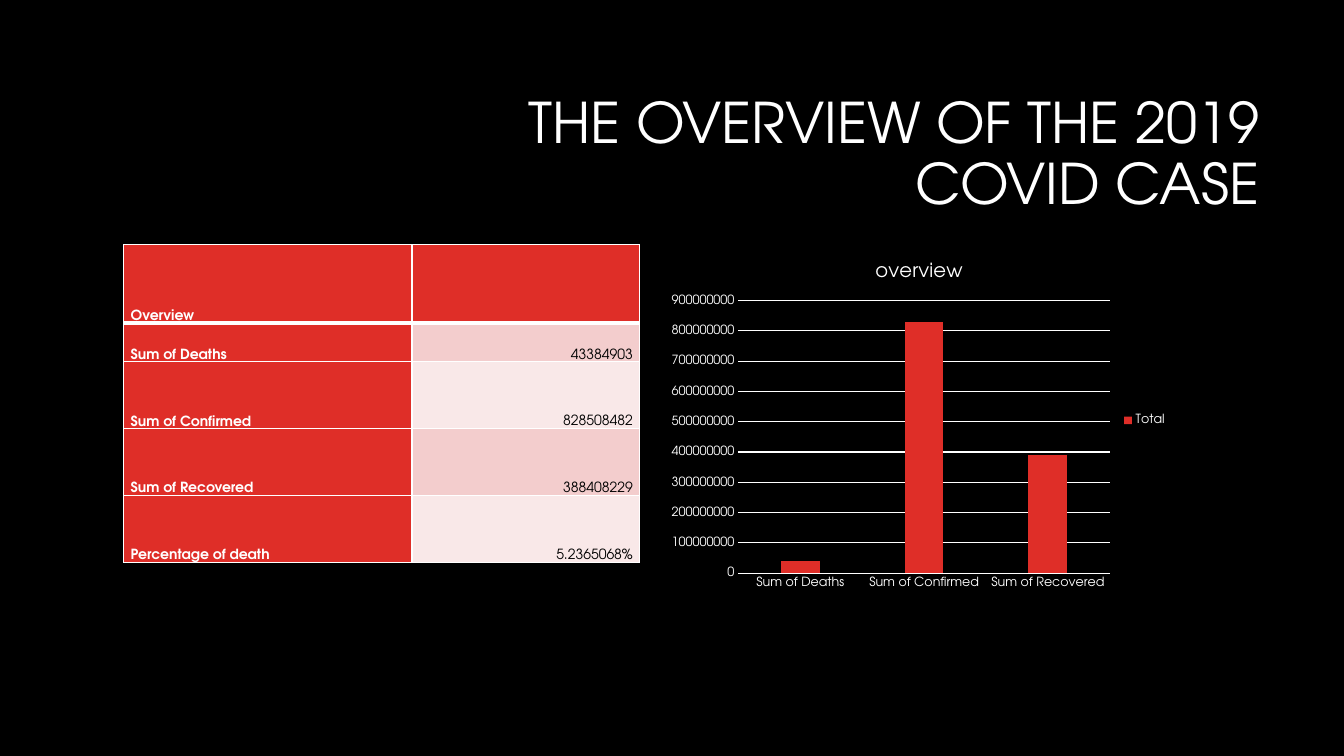
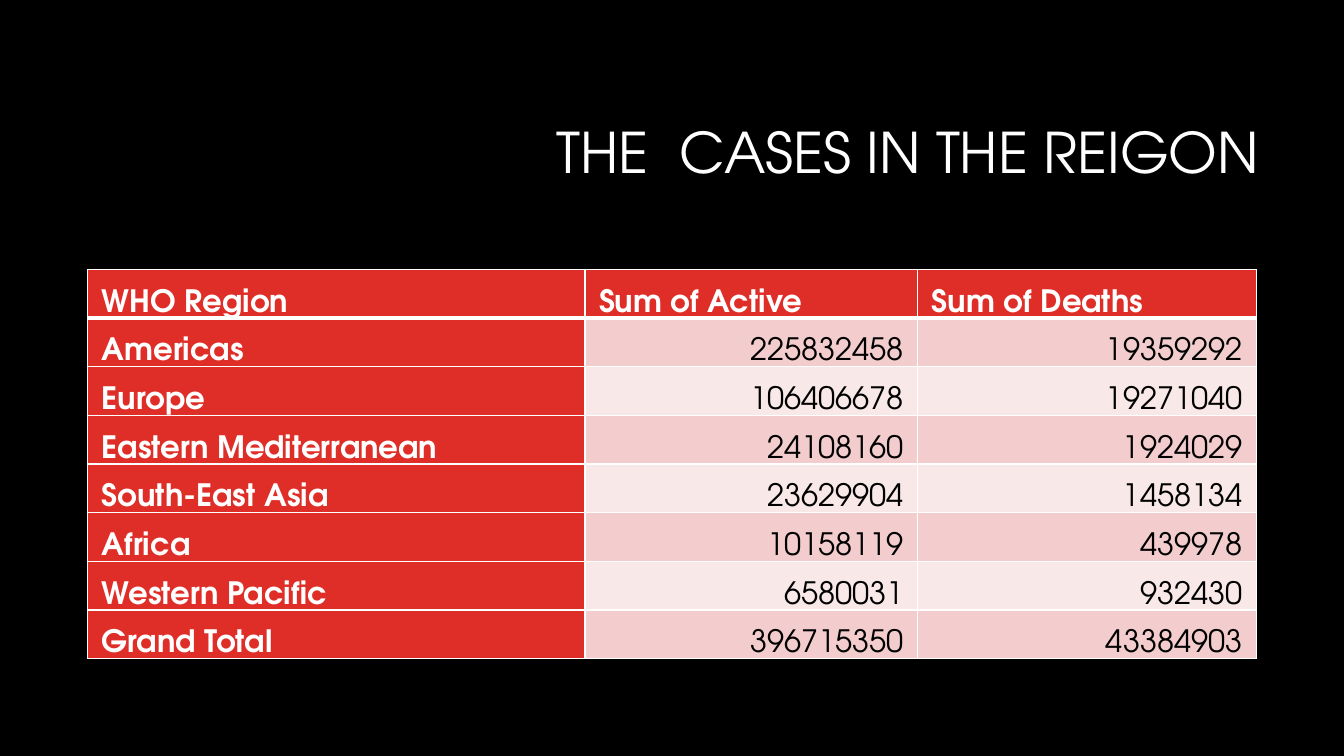
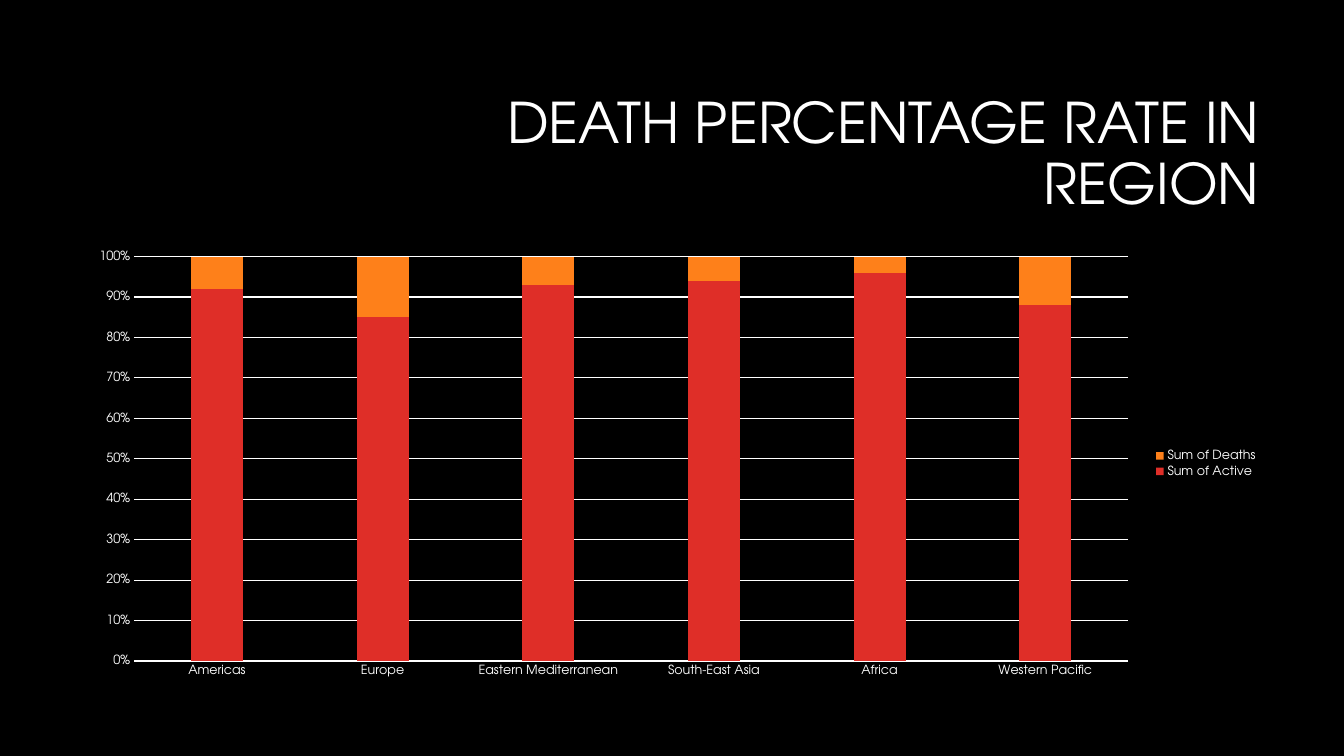
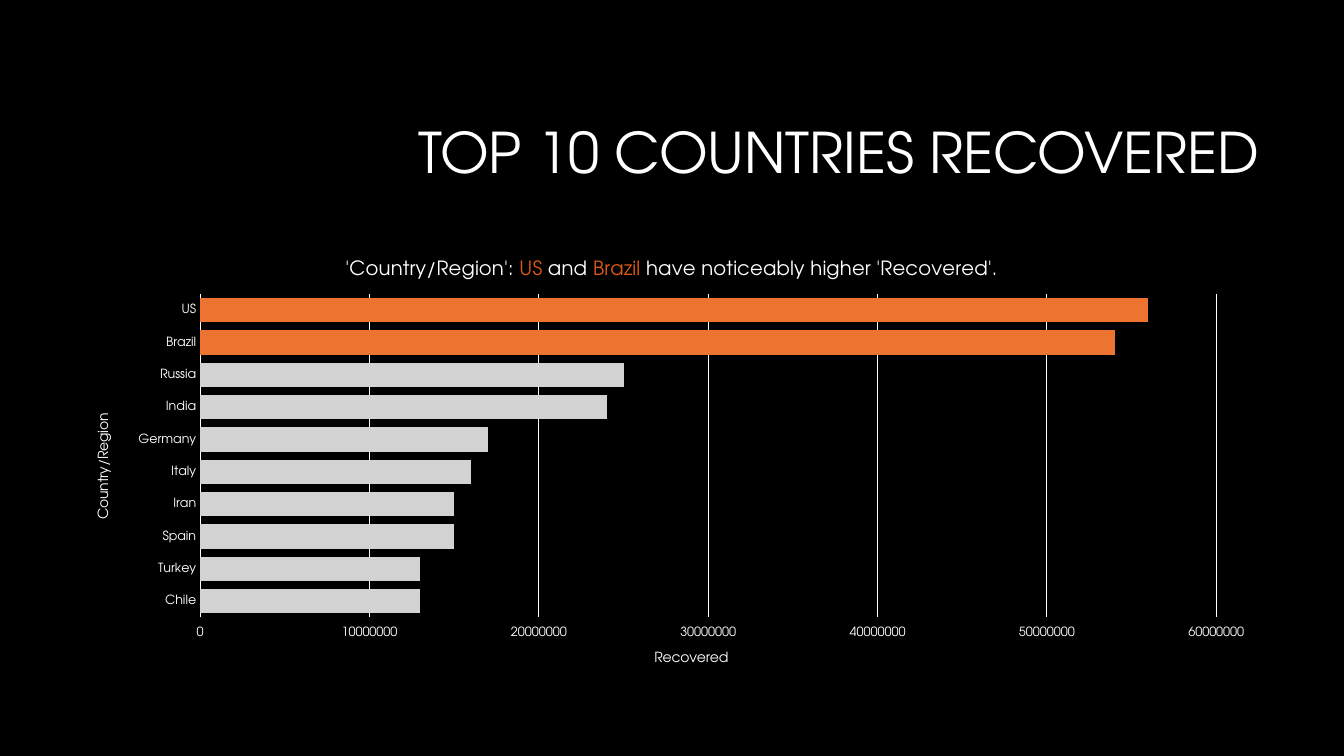
from dataclasses import dataclass
from typing import Optional

from lxml.etree import SubElement
from pptx import Presentation
from pptx.chart.data import CategoryChartData
from pptx.dml.color import RGBColor
from pptx.enum.chart import (
    XL_CHART_TYPE, XL_LEGEND_POSITION, XL_TICK_LABEL_POSITION, XL_TICK_MARK,
)
from pptx.enum.text import MSO_ANCHOR, PP_ALIGN
from pptx.oxml.ns import qn
from pptx.util import Emu, Pt

PX = 3048  # EMU; 300 px to the inch
FONT = "TeX Gyre Adventor"
COLORS = {
    "background": "000000",
    "light": "FFFFFF",
    "dark": "000000",
    "red": "DF2E28",
    "orange": "FE801A",
    "band_odd": "F3CDCD",
    "band_even": "F9E8E8",
    "bar": "D2D2D2",
    "bar_top": "ED7331",
    "title_accent": "DD5A13",
}


@dataclass(frozen=True)
class Box:
    left: int
    top: int
    width: int
    height: int

    def emu(self) -> tuple:
        return tuple(px(n) for n in (self.left, self.top, self.width, self.height))


@dataclass(frozen=True)
class Span:
    text: str
    color: str = "light"


@dataclass(frozen=True)
class Series:
    name: str
    values: tuple
    color: str


@dataclass(frozen=True)
class TableSpec:
    left: int
    top: int
    columns: tuple
    row_heights: tuple
    size: int
    inset: int
    rows: tuple


@dataclass(frozen=True)
class ChartSpec:
    kind: XL_CHART_TYPE
    box: Box
    categories: tuple
    series: tuple
    maximum: float
    step: float
    title: tuple = ()
    gap: int = 219
    overlap: Optional[int] = None
    number_format: str = "General"
    legend: bool = True


TITLE_BOX = Box(951, 252, 2826, 423)
WIDE_CHART = Box(225, 720, 3549, 1320)

OVERVIEW_TABLE = TableSpec(
    left=368, top=728, columns=(858, 678), row_heights=(234, 115, 199, 199, 199),
    size=10, inset=21,
    rows=(
        ("Overview", ""),
        ("Sum of Deaths", "43384903"),
        ("Sum of Confirmed", "828508482"),
        ("Sum of Recovered", "388408229"),
        ("Percentage of death", "5.2365068%"),
    ),
)

REGION_TABLE = TableSpec(
    left=261, top=801, columns=(1480, 990, 1008), row_heights=(145,) * 8,
    size=22, inset=42,
    rows=(
        ("WHO Region", "Sum of Active", "Sum of Deaths"),
        ("Americas", "225832458", "19359292"),
        ("Europe", "106406678", "19271040"),
        ("Eastern Mediterranean", "24108160", "1924029"),
        ("South-East Asia", "23629904", "1458134"),
        ("Africa", "10158119", "439978"),
        ("Western Pacific", "6580031", "932430"),
        ("Grand Total", "396715350", "43384903"),
    ),
)

OVERVIEW_CHART = ChartSpec(
    kind=XL_CHART_TYPE.COLUMN_CLUSTERED,
    box=Box(1968, 729, 1536, 1044),
    categories=("Sum of Deaths", "Sum of Confirmed", "Sum of Recovered"),
    series=(Series("Total", (40_000_000, 830_000_000, 390_000_000), "red"),),
    maximum=900_000_000, step=100_000_000,
    title=(Span("overview"),),
)

DEATH_RATE_CHART = ChartSpec(
    kind=XL_CHART_TYPE.COLUMN_STACKED_100,
    box=WIDE_CHART,
    categories=("Americas", "Europe", "Eastern Mediterranean",
                "South-East Asia", "Africa", "Western Pacific"),
    series=(
        Series("Sum of Active", (92, 85, 93, 94, 96, 88), "red"),
        Series("Sum of Deaths", (8, 15, 7, 6, 4, 12), "orange"),
    ),
    maximum=1, step=0.1, overlap=100, number_format="0%",
)

RECOVERED_CHART = ChartSpec(
    kind=XL_CHART_TYPE.BAR_STACKED,
    box=WIDE_CHART,
    categories=("US", "Brazil", "Russia", "India", "Germany",
                "Italy", "Iran", "Spain", "Turkey", "Chile"),
    series=(Series("Series 1", tuple(
        n * 1_000_000 for n in (56, 54, 25, 24, 17, 16, 15, 15, 13, 13)), "bar"),),
    maximum=60_000_000, step=10_000_000,
    title=(Span("'Country/Region': "), Span("US", "title_accent"), Span(" and "),
           Span("Brazil", "title_accent"),
           Span(" have noticeably higher 'Recovered'.")),
    gap=33, overlap=100, legend=False,
)


def px(count: int) -> Emu:
    return Emu(count * PX)


def rgb(name: str) -> RGBColor:
    return RGBColor.from_string(COLORS[name])


def set_font(font, size: int, color: str = "light", bold: bool = False) -> None:
    font.name = FONT
    font.size = Pt(size)
    font.bold = bold
    font.color.rgb = rgb(color)


def add_spans(para, spans: tuple, size: int, bold: bool = False) -> None:
    for span in spans:
        run = para.add_run()
        run.text = span.text
        set_font(run.font, size, span.color, bold)


def add_page(deck, title: str):
    """Add a black slide with the shared right-aligned title."""
    page = deck.slides.add_slide(deck.slide_layouts[6])
    page.background.fill.solid()
    page.background.fill.fore_color.rgb = rgb("background")
    frame = page.shapes.add_textbox(*TITLE_BOX.emu()).text_frame
    frame.word_wrap = True
    frame.vertical_anchor = MSO_ANCHOR.MIDDLE
    para = frame.paragraphs[0]
    para.alignment = PP_ALIGN.RIGHT
    para.line_spacing = 0.9
    add_spans(para, (Span(title),), 40)
    return page


def set_borders(cell, widths: dict) -> None:
    properties = cell._tc.get_or_add_tcPr()
    for side, points in widths.items():
        line = SubElement(properties, qn(f"a:ln{side}"), w=str(Pt(points)))
        fill = SubElement(line, qn("a:solidFill"))
        SubElement(fill, qn("a:srgbClr"), val=COLORS["light"])


def fill_cell(cell, text: str, row: int, column: int, spec: TableSpec) -> None:
    heading = row == 0 or column == 0
    set_borders(cell, {"L": 1, "R": 1, "T": 3 if row == 1 else 1, "B": 3 if row == 0 else 1})
    cell.fill.solid()
    band = "band_odd" if row % 2 else "band_even"
    cell.fill.fore_color.rgb = rgb("red" if heading else band)
    cell.vertical_anchor = MSO_ANCHOR.BOTTOM
    cell.margin_left = cell.margin_right = px(spec.inset)
    cell.margin_top = cell.margin_bottom = 0
    if text:
        para = cell.text_frame.paragraphs[0]
        para.alignment = PP_ALIGN.LEFT if heading else PP_ALIGN.RIGHT
        para.line_spacing = 1.2
        para.space_after = Pt(10)
        add_spans(para, (Span(text, "light" if heading else "dark"),), spec.size, heading)


def add_data_table(page, spec: TableSpec) -> None:
    box = Box(spec.left, spec.top, sum(spec.columns), sum(spec.row_heights))
    table = page.shapes.add_table(len(spec.rows), len(spec.columns), *box.emu()).table
    for column, width in zip(table.columns, spec.columns):
        column.width = px(width)
    for row, height in zip(table.rows, spec.row_heights):
        row.height = px(height)
    for r, texts in enumerate(spec.rows):
        for c, text in enumerate(texts):
            fill_cell(table.cell(r, c), text, r, c, spec)


def style_line(line) -> None:
    line.color.rgb = rgb("light")
    line.width = Pt(0.75)


def style_axes(chart, spec: ChartSpec) -> None:
    categories, values = chart.category_axis, chart.value_axis
    for axis in (categories, values):
        axis.major_tick_mark = axis.minor_tick_mark = XL_TICK_MARK.NONE
        set_font(axis.tick_labels.font, 9)
    categories.has_major_gridlines = False
    style_line(categories.format.line)
    values.format.line.fill.background()
    values.has_major_gridlines = True
    style_line(values.major_gridlines.format.line)
    values.minimum_scale = 0
    values.maximum_scale = spec.maximum
    values.major_unit = spec.step
    values.tick_labels.number_format = spec.number_format
    values.tick_labels.number_format_is_linked = False


def add_data_chart(page, spec: ChartSpec):
    data = CategoryChartData()
    data.categories = spec.categories
    for series in spec.series:
        data.add_series(series.name, series.values)
    chart = page.shapes.add_chart(spec.kind, *spec.box.emu(), data).chart
    set_font(chart.font, 10)
    chart.has_title = bool(spec.title)
    if spec.title:
        add_spans(chart.chart_title.text_frame.paragraphs[0], spec.title, 14)
    chart.has_legend = spec.legend
    if spec.legend:
        chart.legend.position = XL_LEGEND_POSITION.RIGHT
        chart.legend.include_in_layout = False
        set_font(chart.legend.font, 9)
    plot = chart.plots[0]
    plot.vary_by_categories = False
    plot.gap_width = spec.gap
    if spec.overlap is not None:
        plot.overlap = spec.overlap
    for drawn, series in zip(plot.series, spec.series):
        drawn.format.fill.solid()
        drawn.format.fill.fore_color.rgb = rgb(series.color)
    style_axes(chart, spec)
    return chart


def add_axis_title(axis, text: str, rotation: int) -> None:
    add_spans(axis.axis_title.text_frame.paragraphs[0], (Span(text),), 10)
    body = axis.axis_title.element.find(".//" + qn("a:bodyPr"))
    body.set("rot", str(rotation * 60000))
    body.set("vert", "horz")


def add_recovered_chart(page) -> None:
    """Add the ranking bars, largest on top, with the two leaders highlighted."""
    chart = add_data_chart(page, RECOVERED_CHART)
    chart.category_axis.reverse_order = True
    chart.value_axis.tick_label_position = XL_TICK_LABEL_POSITION.HIGH
    add_axis_title(chart.category_axis, "Country/Region", -90)
    add_axis_title(chart.value_axis, "Recovered", 0)
    for leader in range(2):
        fill = chart.plots[0].series[0].points[leader].format.fill
        fill.solid()
        fill.fore_color.rgb = rgb("bar_top")


def main() -> None:
    deck = Presentation()
    deck.slide_width, deck.slide_height = px(4000), px(2250)

    page = add_page(deck, "THE OVERVIEW OF THE 2019 COVID CASE")
    add_data_table(page, OVERVIEW_TABLE)
    add_data_chart(page, OVERVIEW_CHART)

    page = add_page(deck, "THE  CASES IN THE REIGON")
    add_data_table(page, REGION_TABLE)

    page = add_page(deck, "DEATH PERCENTAGE RATE IN REGION")
    add_data_chart(page, DEATH_RATE_CHART)

    page = add_page(deck, "TOP 10 COUNTRIES RECOVERED")
    add_recovered_chart(page)

    deck.save("out.pptx")


if __name__ == "__main__":
    main()
